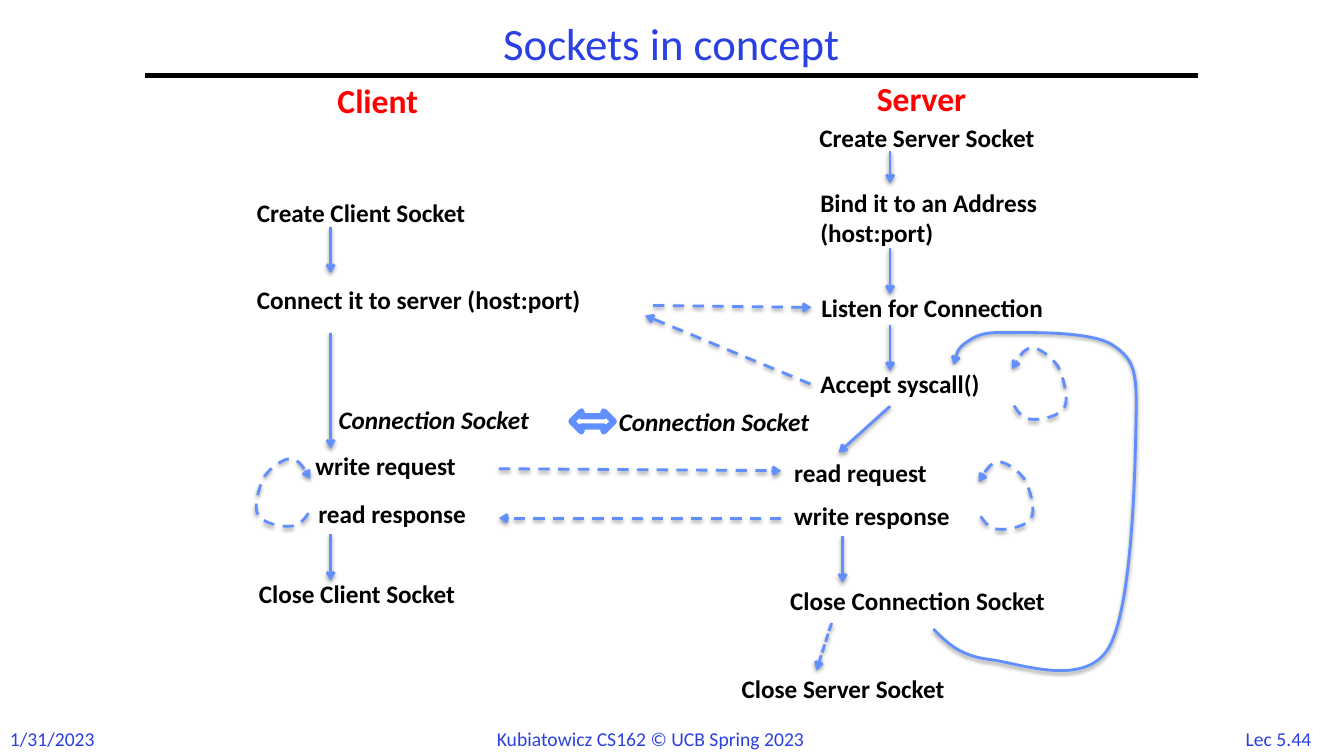
from dataclasses import dataclass
from typing import Optional

from lxml.etree import SubElement
from pptx import Presentation
from pptx.dml.color import RGBColor
from pptx.enum.dml import MSO_LINE
from pptx.enum.shapes import MSO_CONNECTOR, MSO_SHAPE
from pptx.enum.text import MSO_ANCHOR, MSO_AUTO_SIZE, PP_ALIGN
from pptx.oxml.ns import qn
from pptx.util import Pt

BLUE = RGBColor(0x2A, 0x40, 0xE2)
ARROW_BLUE = RGBColor(0x61, 0x8F, 0xFD)
RED = RGBColor(0xFF, 0x00, 0x00)
BLACK = RGBColor(0x00, 0x00, 0x00)
WHITE = RGBColor(0xFF, 0xFF, 0xFF)
LEFT_SIDE = 1


@dataclass
class Label:
    text: str
    left: float
    top: float
    width: float
    height: float = 28.8
    size: float = 18
    color: RGBColor = BLACK
    bold: bool = True
    italic: bool = False
    align: PP_ALIGN = PP_ALIGN.LEFT


@dataclass
class Arrow:
    x1: float
    y1: float
    x2: float
    y2: float
    dash: Optional[MSO_LINE] = None
    start_label: str = ""
    end_label: str = ""


@dataclass
class Loop:
    x: float
    y: float
    x_scale: float = 1
    y_scale: float = 1


FOOTERS = [
    Label("Lec 5.44", 878.4, 515.5, 69.8, 24.5, 14, BLUE, False, align=PP_ALIGN.CENTER),
    Label("1/31/2023", 0, 515.5, 77, 24.5, 14, BLUE, False),
    Label("Kubiatowicz CS162 © UCB Spring 2023", 347.8, 515.5, 265, 24.5, 14, BLUE, False),
]
HEADINGS = [
    Label("Client", 234, 53.3, 82.1, 36, 24, RED),
    Label("Server", 619.2, 51.8, 93.6, 36, 24, RED),
]
CLIENT_STEPS = [
    Label("Create Client Socket", 176.4, 137.5, 191.5),
    Label("Connect it to server (host:port)", 176.4, 199.4, 282.2),
    Label("Connection Socket", 234.7, 285.1, 179.3, italic=True),
    Label("write request", 218.2, 318.2, 127.4),
    Label("read response", 220.3, 352.1, 137.5),
    Label("Close Client Socket", 177.8, 409.7, 185),
]
SERVER_STEPS = [
    Label("Create Server Socket", 578.2, 84.2, 197.3),
    Label("Bind it to an Address\n(host:port)", 578.9, 130.3, 201.6, 51.1),
    Label("Listen for Connection", 579.6, 205.2, 201.6),
    Label("Accept syscall()", 578.9, 259.9, 153.4),
    Label("Connection Socket", 434.9, 286.6, 179.3, italic=True),
    Label("read request", 560.2, 323.3, 127.4),
    Label("write response", 560.2, 354.2, 143.3),
    Label("Close Connection Socket", 557.3, 414.7, 234),
    Label("Close Server Socket", 522.7, 477.4, 194.4),
]
ARROWS = [
    # Client flow
    Arrow(236.2, 162, 236.2, 195.1),
    Arrow(236.2, 237.6, 236.2, 320.4),
    Arrow(236.2, 381.6, 236.2, 414.7),
    # Server flow
    Arrow(635.8, 108, 635.8, 131),
    Arrow(635.8, 177.1, 635.8, 210.2),
    Arrow(635.8, 231.8, 635.8, 265),
    Arrow(635.8, 290.2, 599, 323.3),
    Arrow(601.9, 383, 601.9, 416.2),
    Arrow(594, 445, 583.2, 478.8, MSO_LINE.SQUARE_DOT),
    # Messages between client and server
    Arrow(466.6, 218.2, 579.6, 219.6, MSO_LINE.DASH, end_label="Listen for Connection"),
    Arrow(578.9, 274.3, 460.8, 225.4, MSO_LINE.DASH, start_label="Accept syscall()"),
    Arrow(356.4, 334.8, 558, 336.2, MSO_LINE.DASH),
    Arrow(558, 370.1, 356.4, 370.1, MSO_LINE.DASH),
]
LOOPS = [Loop(699.1, 329.8), Loop(221.8, 327.6, x_scale=-1), Loop(722.9, 248.4, y_scale=1.06)]

# Bézier points: a start, then two controls and an end for each curve
LOOP_POINTS = [
    (1.4, 39), (5, 44), (8, 48.2), (14.4, 48.2), (20, 49), (34.6, 46), (37.4, 40.3),
    (41, 34.6), (36.7, 20.2), (33.1, 13), (28.8, 6.5), (19.4, 0), (14.4, 0),
    (8.6, 0.7), (4.3, 7.2), (0, 14.4),
]
NEXT_CLIENT_POINTS = [
    (666.7, 449.3), (676.1, 458.6), (684.7, 468), (705.6, 470.9), (726.5, 473),
    (773.3, 491.8), (791.3, 463.7), (808.6, 436.3), (810.7, 339.1), (811.4, 303.1),
    (812.2, 267.1), (811.4, 257.8), (795.6, 247), (780.5, 236.2), (735.1, 237.6),
    (717.8, 237.6), (699.8, 236.9), (695.5, 241.2), (689.8, 244.8), (684, 249.1),
    (682.6, 254.9), (681.1, 260.6),
]


def add_label(page, label: Label):
    box = page.shapes.add_textbox(Pt(label.left), Pt(label.top), Pt(label.width), Pt(label.height))
    frame = box.text_frame
    frame.word_wrap = False
    frame.auto_size = MSO_AUTO_SIZE.SHAPE_TO_FIT_TEXT
    for index, line in enumerate(label.text.split("\n")):
        para = frame.add_paragraph() if index else frame.paragraphs[0]
        para.alignment = label.align
        span = para.add_run()
        span.text = line
        font = span.font
        font.name, font.size = "Calibri", Pt(label.size)
        font.bold, font.italic = label.bold, label.italic
        font.color.rgb = label.color
    return box


def style_arrow(shape, dash: Optional[MSO_LINE]) -> None:
    shape.line.color.rgb = ARROW_BLUE
    shape.line.width = Pt(2)
    if dash is not None:
        shape.line.dash_style = dash
    properties = shape._element.spPr
    SubElement(properties.find(qn("a:ln")), qn("a:tailEnd"), type="arrow")
    effects = SubElement(properties, qn("a:effectLst"))
    shadow = SubElement(effects, qn("a:outerShdw"), blurRad=str(Pt(3.1)), dist=str(Pt(1.6)),
                        dir="5400000", rotWithShape="0")
    color = SubElement(shadow, qn("a:srgbClr"), val=str(BLACK))
    SubElement(color, qn("a:alpha"), val="38000")


def add_arrow(page, arrow: Arrow, boxes: dict) -> None:
    connector = page.shapes.add_connector(
        MSO_CONNECTOR.STRAIGHT, Pt(arrow.x1), Pt(arrow.y1), Pt(arrow.x2), Pt(arrow.y2))
    if arrow.start_label:
        connector.begin_connect(boxes[arrow.start_label], LEFT_SIDE)
    if arrow.end_label:
        connector.end_connect(boxes[arrow.end_label], LEFT_SIDE)
    style_arrow(connector, arrow.dash)


def add_curve(page, points: list, dash: Optional[MSO_LINE] = None) -> None:
    start, *rest = [(Pt(x), Pt(y)) for x, y in points]
    builder = page.shapes.build_freeform(*start)
    builder.add_line_segments(rest, close=False)
    curve = builder.convert_to_shape()
    # Turn each three straight segments into one Bézier segment
    segments = list(curve._element.iter(qn("a:lnTo")))
    outline = segments[0].getparent()
    for index, segment in enumerate(segments):
        if index % 3 == 0:
            bezier = SubElement(outline, qn("a:cubicBezTo"))
        bezier.append(segment[0])
        outline.remove(segment)
    curve.fill.background()
    style_arrow(curve, dash)


def main() -> None:
    deck = Presentation()
    deck.slide_width, deck.slide_height = Pt(960), Pt(540)
    page = deck.slides.add_slide(deck.slide_layouts[6])

    # Title and rule
    title = add_label(page, Label("Sockets in concept", 103.7, 12.2, 751.7, 41.8, 32, BLUE,
                                  False, align=PP_ALIGN.CENTER))
    title.text_frame.auto_size = MSO_AUTO_SIZE.NONE
    title.text_frame.word_wrap = True
    title.text_frame.vertical_anchor = MSO_ANCHOR.MIDDLE
    title.text_frame.paragraphs[0].line_spacing = 0.9
    rule = page.shapes.add_connector(MSO_CONNECTOR.STRAIGHT, Pt(103.7), Pt(54), Pt(856), Pt(54))
    rule.line.color.rgb = BLACK
    rule.line.width = Pt(3)
    SubElement(rule._element.spPr, qn("a:effectLst"))

    # Texts
    labels = FOOTERS + HEADINGS + CLIENT_STEPS + SERVER_STEPS
    boxes = {label.text: add_label(page, label) for label in labels}

    # Arrows and loops
    for arrow in ARROWS:
        add_arrow(page, arrow, boxes)
    for loop in LOOPS:
        points = [(loop.x + x * loop.x_scale, loop.y + y * loop.y_scale) for x, y in LOOP_POINTS]
        add_curve(page, points, MSO_LINE.DASH)
    add_curve(page, NEXT_CLIENT_POINTS)

    # Link between the two connection sockets
    link = page.shapes.add_shape(MSO_SHAPE.LEFT_RIGHT_ARROW, Pt(408.2), Pt(293.8), Pt(30.2), Pt(14.4))
    link.shadow.inherit = False
    link.fill.solid()
    link.fill.fore_color.rgb = WHITE
    link.line.color.rgb = ARROW_BLUE
    link.line.width = Pt(4.5)

    deck.save("out.pptx")


if __name__ == "__main__":
    main()
